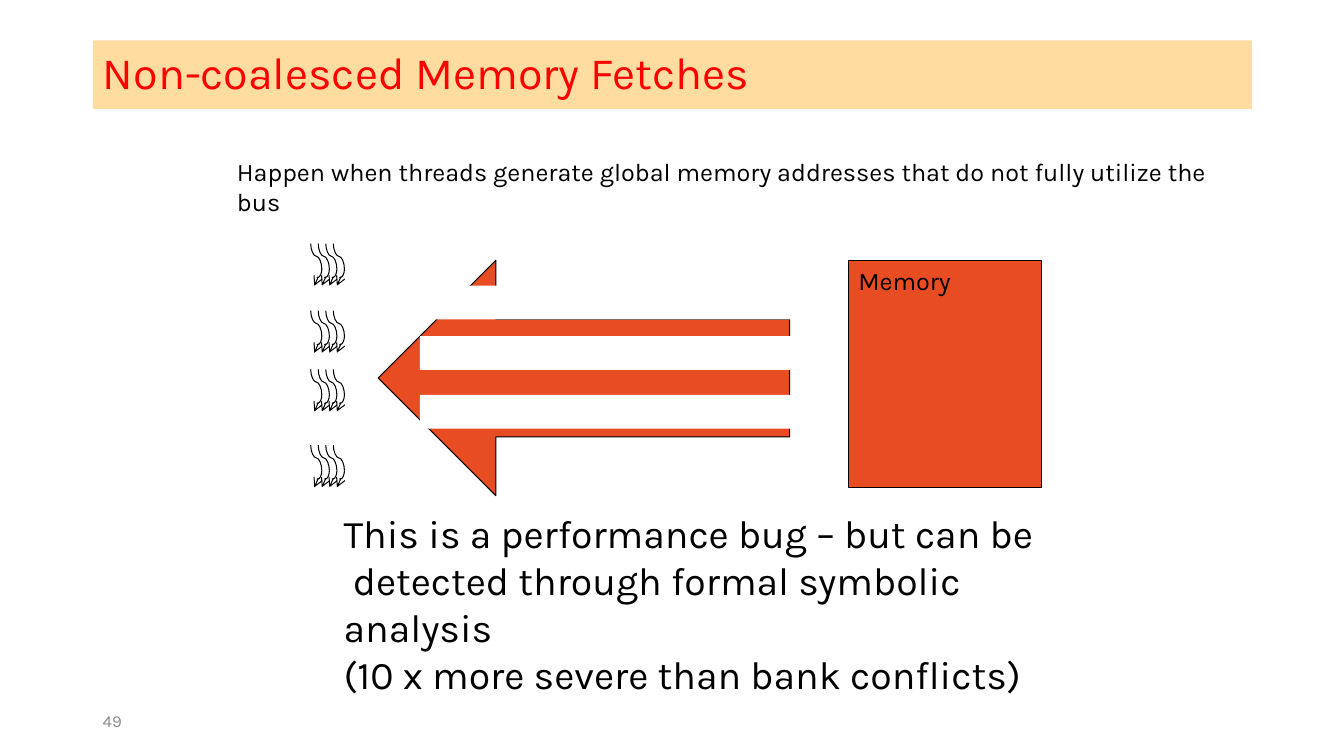
from lxml import etree
from pptx import Presentation
from pptx.dml.color import RGBColor
from pptx.enum.shapes import MSO_CONNECTOR, MSO_SHAPE
from pptx.enum.text import MSO_ANCHOR, MSO_AUTO_SIZE, PP_ALIGN
from pptx.oxml.ns import qn
from pptx.util import Cm, Pt

RECTANGLE = MSO_SHAPE.RECTANGLE
LEFT_ARROW = MSO_SHAPE.LEFT_ARROW
CURVE = MSO_CONNECTOR.CURVE
TOP, MIDDLE = MSO_ANCHOR.TOP, MSO_ANCHOR.MIDDLE
LEFT = PP_ALIGN.LEFT
FIXED, GROW = MSO_AUTO_SIZE.NONE, MSO_AUTO_SIZE.SHAPE_TO_FIT_TEXT

BLACK, WHITE, RED = "000000", "FFFFFF", "FF0000"
ORANGE, AMBER, GREY = "E84C22", "FFBD47", "8C8C8C"


def color(hex_code):
    return RGBColor.from_string(hex_code)


def write_text(frame, *lines, size=18, ink=BLACK, font="Karla",
               anchor=TOP, fit=FIXED, spacing=1.0):
    frame.word_wrap = True
    frame.auto_size = fit
    frame.vertical_anchor = anchor
    for index, line in enumerate(lines):
        paragraph = frame.paragraphs[0] if index == 0 else frame.add_paragraph()
        paragraph.text = line
        paragraph.alignment = LEFT
        paragraph.line_spacing = spacing
        paragraph.font.name = font
        paragraph.font.size = Pt(size)
        paragraph.font.color.rgb = color(ink)


class SlideBuilder:
    line_width = Pt(0.75)

    def __init__(self, slide):
        self.slide = slide

    def title(self, text, left, top, width, height):
        title = self.slide.shapes.title
        title.left, title.top = Cm(left), Cm(top)
        title.width, title.height = Cm(width), Cm(height)
        title.fill.solid()
        title.fill.fore_color.rgb = color(AMBER)
        tint = title.fill._xPr.find(qn("a:solidFill"))[0]
        etree.SubElement(tint, qn("a:alpha"), val="51000")
        write_text(title.text_frame, text, size=32, ink=RED,
                   anchor=MIDDLE, spacing=0.9)

    def text(self, lines, left, top, width, height, **style):
        box = self.slide.shapes.add_textbox(
            Cm(left), Cm(top), Cm(width), Cm(height))
        write_text(box.text_frame, *lines, **style)

    def shape(self, kind, left, top, width, height, fill, outline=None):
        shape = self.slide.shapes.add_shape(
            kind, Cm(left), Cm(top), Cm(width), Cm(height))
        shape.shadow.inherit = False
        shape.fill.solid()
        shape.fill.fore_color.rgb = color(fill)
        if outline:
            shape.line.color.rgb = color(outline)
            shape.line.width = self.line_width
        else:
            shape.line.fill.background()
        return shape

    def curve(self, group, start, end, arrow=False):
        center_x, center_y = (start[0] + end[0]) / 2, (start[1] + end[1]) / 2
        half_length = abs(end[1] - start[1]) / 2
        direction = 1 if end[1] > start[1] else -1
        half_sway = direction * abs(end[0] - start[0]) / 2
        curve = group.shapes.add_connector(
            CURVE,
            Cm(center_x - half_length), Cm(center_y - half_sway),
            Cm(center_x + half_length), Cm(center_y + half_sway))
        curve.line.color.rgb = color(BLACK)
        curve.line.width = self.line_width
        properties = curve._element.spPr
        rotation = 90 if direction > 0 else 270
        properties.find(qn("a:xfrm")).set("rot", str(rotation * 60000))
        if arrow:
            etree.SubElement(properties.find(qn("a:ln")), qn("a:tailEnd"),
                             type="arrow")
        etree.SubElement(properties, qn("a:effectLst"))

    def thread_bundle(self, top, count=4, first_bend=8.11, gap=0.19):
        bundle = self.slide.shapes.add_group_shape()
        for thread in range(count):
            bend_x, bend_y = first_bend + thread * gap, top + 0.64
            bend = (bend_x, bend_y)
            self.curve(bundle, bend, (bend_x - 0.19, top + 1.06), arrow=True)
            self.curve(bundle, bend, (bend_x - 0.28, top))


def main():
    presentation = Presentation()
    presentation.slide_width, presentation.slide_height = Cm(33.87), Cm(19.05)
    title_only = presentation.slide_layouts[5]
    builder = SlideBuilder(presentation.slides.add_slide(title_only))

    builder.title("Non-coalesced Memory Fetches", 2.34, 1.02, 29.21, 1.73)
    builder.text(["49"], 2.34, 17.65, 7.62, 1.02,
                 size=12, ink=GREY, anchor=MIDDLE)

    memory = builder.shape(RECTANGLE, 21.38, 6.56, 4.88, 5.72, ORANGE, BLACK)
    write_text(memory.text_frame, "Memory")

    for bundle_top in (6.14, 7.83, 9.31, 11.22):
        builder.thread_bundle(bundle_top)

    builder.shape(LEFT_ARROW, 9.53, 6.56, 10.37, 5.93, ORANGE, BLACK)
    for unused_top in (7.2, 8.47, 9.95):
        builder.shape(RECTANGLE, 10.58, unused_top, 9.53, 0.85, WHITE)

    builder.text(["This is a performance bug – but can be",
                  " detected through formal symbolic analysis",
                  "(10 x more severe than bank conflicts)"],
                 8.41, 12.7, 19.79, 3.84, size=28, fit=GROW)
    builder.text(["Happen when threads generate global memory addresses "
                  "that do not fully utilize the bus"],
                 5.72, 3.81, 26.14, 1.02, fit=GROW)

    presentation.save("out.pptx")


if __name__ == "__main__":
    main()
